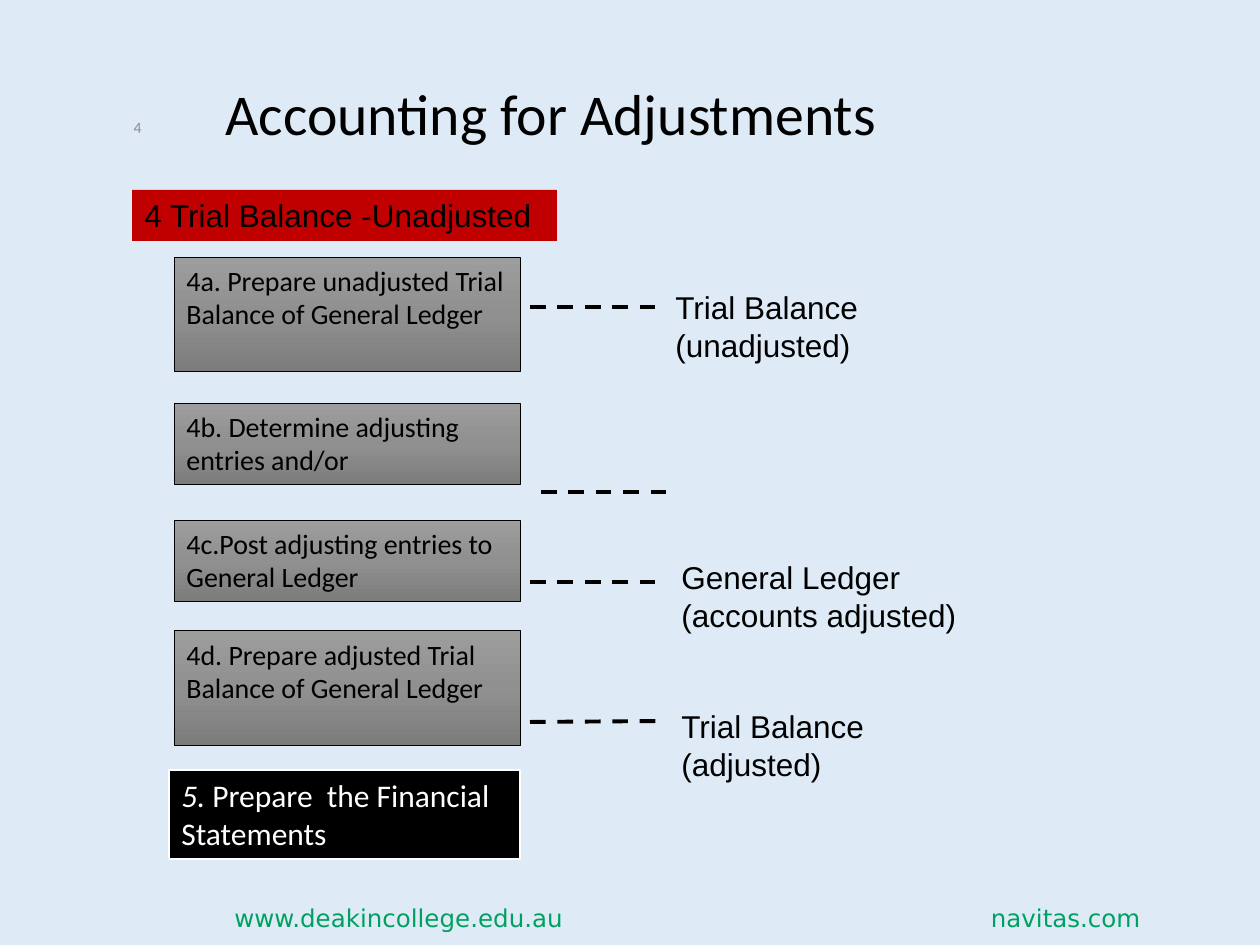
"""Build the "Accounting for Adjustments" slide."""
from copy import deepcopy
from dataclasses import dataclass

from lxml.etree import SubElement
from pptx import Presentation
from pptx.dml.color import RGBColor
from pptx.enum.dml import MSO_LINE
from pptx.enum.shapes import MSO_CONNECTOR, MSO_SHAPE
from pptx.enum.text import MSO_ANCHOR, PP_ALIGN
from pptx.oxml.ns import qn
from pptx.slide import Slide
from pptx.util import Emu, Pt

EMU_PER_PX = 914400 / 126
COLORS = {
    "background": "DEEBF7",
    "black": "000000",
    "white": "FFFFFF",
    "red": "C00000",
    "green": "00A160",
    "number": "8C8C8C",
}
STEP_GRADIENT = ((0, "9D9D9D"), (0.5, "909090"), (1, "7C7C7C"))
STEP_LEFT, STEP_WIDTH = 174, 346


@dataclass(frozen=True)
class Label:
    text: str
    left: int
    top: int
    width: int
    height: int
    size: int = 18
    font: str = "Arial"
    color: str = "black"
    align: PP_ALIGN = PP_ALIGN.LEFT
    anchor: MSO_ANCHOR = MSO_ANCHOR.TOP
    line_spacing: float = 1.0


@dataclass(frozen=True)
class Box:
    label: Label
    fill: str | None = None
    line: str | None = None
    line_width: float = 0.5
    italic_prefix: str = ""


@dataclass(frozen=True)
class Dash:
    left: int
    start_y: int
    right: int
    end_y: int


def step(text: str, top: int, height: int) -> Box:
    return Box(Label(text, STEP_LEFT, top, STEP_WIDTH, height, 16, "Calibri"), line="black")


LABELS = (
    Label("www.deakincollege.edu.au", 222, 897, 379, 43, 14, "DejaVu Sans", "green"),
    Label("navitas.com", 968, 897, 185, 43, 14, "DejaVu Sans", "green", PP_ALIGN.RIGHT),
    Label("Accounting for Adjustments", 213, 38, 953, 157, 33, "Calibri",
          anchor=MSO_ANCHOR.MIDDLE, line_spacing=0.9),
    Label("4", 44, 93, 110, 69, 9, "Calibri", "number", PP_ALIGN.RIGHT, MSO_ANCHOR.MIDDLE),
    Label("Trial Balance (unadjusted)", 663, 282, 294, 89),
    Label("General Ledger (accounts adjusted)", 669, 552, 362, 89),
    Label("Trial Balance (adjusted)", 669, 701, 294, 89),
)
BOXES = (
    Box(Label("4 Trial Balance -Unadjusted", 132, 190, 425, 51), "red"),
    step("4a. Prepare unadjusted Trial Balance of General Ledger", 257, 115),
    step("4b. Determine adjusting entries and/or", 403, 81),
    step("4c.Post adjusting entries to General Ledger", 520, 81),
    step("4d. Prepare adjusted Trial Balance of General Ledger", 631, 115),
    Box(Label("Prepare  the Financial Statements", 169, 770, 351, 89, font="Calibri",
              color="white"), "black", "white", 1.5, "5. "),
)
DASHES = (
    Dash(530, 307, 663, 307),
    Dash(541, 492, 675, 492),
    Dash(530, 582, 665, 582),
    Dash(530, 722, 665, 721),
)


def px(length: int) -> Emu:
    return Emu(round(length * EMU_PER_PX))


def rgb(name: str) -> RGBColor:
    return RGBColor.from_string(COLORS[name])


def frame(label: Label) -> tuple[Emu, ...]:
    return tuple(px(length) for length in (label.left, label.top, label.width, label.height))


def write_text(shape, label: Label, italic_prefix: str = "") -> None:
    text_frame = shape.text_frame
    text_frame.word_wrap = True
    text_frame.vertical_anchor = label.anchor
    text_frame.text = italic_prefix or label.text
    paragraph = text_frame.paragraphs[0]
    paragraph.alignment = label.align
    paragraph.line_spacing = label.line_spacing
    if italic_prefix:
        paragraph.runs[0].font.italic = True
        paragraph.add_run().text = label.text
    for run in paragraph.runs:
        run.font.name = label.font
        run.font.size = Pt(label.size)
        run.font.color.rgb = rgb(label.color)


def fill_gradient(shape) -> None:
    shape.fill.gradient()
    shape.fill.gradient_angle = 270
    stop_list = shape.fill.gradient_stops
    first_element = next(shape.element.iter(qn("a:gs")))
    first_element.addnext(deepcopy(first_element))
    stop_list = shape.fill.gradient_stops
    for stop, (position, color) in zip(stop_list, STEP_GRADIENT):
        stop.position = position
        stop.color.rgb = RGBColor.from_string(color)


def add_label(slide: Slide, label: Label) -> None:
    write_text(slide.shapes.add_textbox(*frame(label)), label)


def add_box(slide: Slide, box: Box) -> None:
    shape = slide.shapes.add_shape(MSO_SHAPE.RECTANGLE, *frame(box.label))
    shape.shadow.inherit = False
    if box.fill:
        shape.fill.solid()
        shape.fill.fore_color.rgb = rgb(box.fill)
    else:
        fill_gradient(shape)
    if box.line:
        shape.line.color.rgb = rgb(box.line)
        shape.line.width = Pt(box.line_width)
    else:
        shape.line.fill.background()
    write_text(shape, box.label, box.italic_prefix)


def add_dash(slide: Slide, dash: Dash) -> None:
    connector = slide.shapes.add_connector(
        MSO_CONNECTOR.STRAIGHT, px(dash.left), px(dash.start_y), px(dash.right), px(dash.end_y))
    connector.line.color.rgb = rgb("black")
    connector.line.width = Pt(2.25)
    connector.line.dash_style = MSO_LINE.DASH
    SubElement(connector.element.spPr, qn("a:effectLst"))


def main() -> None:
    presentation = Presentation()
    presentation.slide_width, presentation.slide_height = px(1260), px(945)
    slide = presentation.slides.add_slide(presentation.slide_layouts[6])
    slide.background.fill.solid()
    slide.background.fill.fore_color.rgb = rgb("background")
    for label in LABELS:
        add_label(slide, label)
    for box in BOXES:
        add_box(slide, box)
    for dash in DASHES:
        add_dash(slide, dash)
    presentation.save("out.pptx")


if __name__ == "__main__":
    main()
